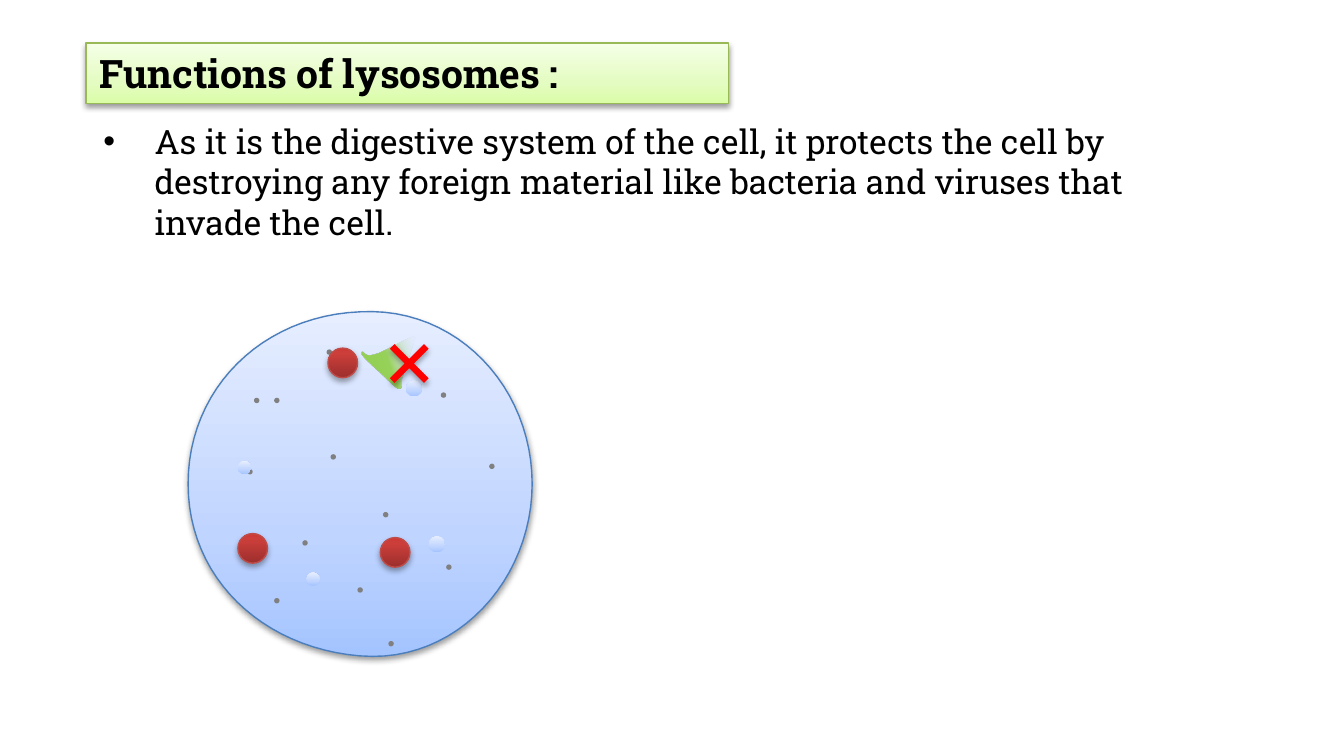
from dataclasses import dataclass
from typing import NamedTuple, Optional

from lxml import etree
from pptx import Presentation
from pptx import util as u
from pptx.dml.color import RGBColor
from pptx.enum import shapes, text
from pptx.oxml import ns

COLUMNS, ROWS = 100, 56.25
PITCH = u.Inches(0.1)
CURVE_STEPS = 24


class Stop(NamedTuple):
    position: int
    color: str
    opacity: int = 100


class Gradient(NamedTuple):
    stops: tuple[Stop, ...]
    angle: int = 270


class Shadow(NamedTuple):
    opacity: int
    blur: float
    distance: float


class Look(NamedTuple):
    fill: Gradient | str
    line: Optional[str] = None
    shadow: Optional[Shadow] = None


class Box(NamedTuple):
    column: float
    row: float
    columns: float
    rows: float


class Curve(NamedTuple):
    start: tuple[float, float]
    segments: tuple[tuple[float, ...], ...]


class Group(NamedTuple):
    look: Look
    diameter: float
    centers: tuple[tuple[float, float], ...]


@dataclass(frozen=True)
class Theme:
    font: str = "Roboto Slab"
    ink: RGBColor = RGBColor(0, 0, 0)
    title_size: u.Pt = u.Pt(21)
    body_size: u.Pt = u.Pt(18)
    line_width: u.Pt = u.Pt(0.75)
    soft: Shadow = Shadow(38, 3.1, 1.6)
    strong: Shadow = Shadow(35, 3.1, 1.8)
    blue: Gradient = Gradient((Stop(0, "A4C4FF"), Stop(35, "BFD4FF"), Stop(100, "E6EEFF")))
    red: Gradient = Gradient((Stop(0, "9C2F2D"), Stop(80, "CB3E3A"), Stop(100, "CE3B37")))
    lime: Gradient = Gradient((Stop(0, "DAFDA7"), Stop(35, "E4FCC2"), Stop(100, "F5FFE7")))
    leaf: Gradient = Gradient((Stop(0, "92D050"), Stop(50, "97D25A"), Stop(100, "E1E8F5", 0)), 340)


THEME = Theme()
BANNER = Look(THEME.lime, "98B955", THEME.soft)
CELL = Look(THEME.blue, "4B7EBC", THEME.soft)
INVADER = Look(THEME.leaf)
CROSS = Look("FF0000", None, THEME.strong)
LYSOSOME = Look(THEME.red, "BF4C48", THEME.strong)
GRANULE = Look("808080")
VESICLE = Look(THEME.blue)

TITLE_BOX = Box(6.4, 3.2, 47.8, 4.5)
BODY_BOX = Box(6.7, 8.5, 85.8, 10.1)
CROSS_BOX = Box(28, 24.6, 4.9, 4.9)

CELL_CURVE = Curve((39.6, 36), (
    (39.6, 43, 34.1, 49.4, 26.8, 48.8), (19.5, 48.2, 14, 43, 14, 36),
    (14, 28.9, 19.5, 23.5, 26.8, 23.2), (34.1, 22.8, 39.6, 28.9, 39.6, 36)))
INVADER_CURVE = Curve((27, 26.2), (
    (27.1, 26.2, 27.2, 26.6, 27.8, 26.4), (28.5, 26.3, 30.6, 24.9, 30.9, 25.1),
    (29.9, 28.1), (29.8, 28.4, 30, 29, 29.6, 28.9),
    (29.3, 28.8, 28.5, 27.9, 28, 27.5), (27.6, 27.1, 27.2, 26.8, 27, 26.5),
    (26.8, 26.3, 26.9, 26.2, 27, 26.2)))

CELL_PARTS = (
    Group(GRANULE, 0.4, (
        (26.8, 43.9), (22.7, 40.4), (18.6, 35.1), (19.1, 29.8), (24.5, 26.2),
        (33, 29.4), (36.6, 34.7), (33.4, 42.2), (29.1, 47.9), (20.6, 44.7),
        (28.7, 38.3), (24.8, 34), (20.6, 29.8))),
    Group(VESICLE, 1, ((18.2, 34.8), (23.3, 43.1))),
    Group(VESICLE, 1.2, ((30.8, 28.9), (32.5, 40.5))),
    Group(LYSOSOME, 2.2, ((25.5, 27), (18.8, 40.8), (29.4, 41.1))),
)


def grid(cells: float) -> u.Emu:
    return u.Emu(round(cells * PITCH))


def apply_format(target, values: dict) -> None:
    for name, value in values.items():
        setattr(target, name, value)


def add_node(parent, tag: str, **attributes):
    values = {name: str(value) for name, value in attributes.items()}
    return etree.SubElement(parent, ns.qn(tag), values)


def add_color(parent, color: str, opacity: int) -> None:
    node = add_node(parent, "a:srgbClr", val=color)
    if opacity < 100:
        add_node(node, "a:alpha", val=opacity * 1000)


def apply_gradient(shape, gradient: Gradient) -> None:
    properties = shape._element.spPr
    fill = etree.Element(ns.qn("a:gradFill"), rotWithShape="1")
    stops = add_node(fill, "a:gsLst")
    for stop in gradient.stops:
        node = add_node(stops, "a:gs", pos=stop.position * 1000)
        add_color(node, stop.color, stop.opacity)
    add_node(fill, "a:lin", ang=gradient.angle * 60000, scaled=0)
    properties.replace(properties.find(ns.qn("a:solidFill")), fill)


def apply_look(shape, look: Look) -> None:
    shape.fill.solid()
    if isinstance(look.fill, Gradient):
        apply_gradient(shape, look.fill)
    else:
        shape.fill.fore_color.rgb = RGBColor.from_string(look.fill)
    if look.line:
        shape.line.color.rgb = RGBColor.from_string(look.line)
        shape.line.width = THEME.line_width
    else:
        shape.line.fill.background()
    shape.shadow.inherit = False
    if look.shadow:
        effects = shape._element.spPr.find(ns.qn("a:effectLst"))
        node = add_node(effects, "a:outerShdw", blurRad=u.Pt(look.shadow.blur),
                        dist=u.Pt(look.shadow.distance), dir=90 * 60000, rotWithShape=0)
        add_color(node, "000000", look.shadow.opacity)


def draw_shape(slide, kind, box: Box, look: Look):
    shape = slide.shapes.add_shape(kind, *map(grid, box))
    apply_look(shape, look)
    return shape


def trace(curve: Curve) -> list[tuple[int, int]]:
    points = [curve.start]
    for segment in curve.segments:
        if len(segment) == 2:
            points.append(segment)
            continue
        controls = (points[-1], segment[:2], segment[2:4], segment[4:])
        for step in range(1, CURVE_STEPS + 1):
            t = step / CURVE_STEPS
            weights = ((1 - t) ** 3, 3 * t * (1 - t) ** 2, 3 * t * t * (1 - t), t ** 3)
            points.append(tuple(sum(w * c[axis] for w, c in zip(weights, controls))
                                for axis in (0, 1)))
    return [(grid(x), grid(y)) for x, y in points]


def draw_curve(slide, curve: Curve, look: Look) -> None:
    start, *points = trace(curve)
    builder = slide.shapes.build_freeform(*start)
    builder.add_line_segments(points, close=True)
    apply_look(builder.convert_to_shape(), look)


def draw_group(slide, group: Group) -> None:
    size = group.diameter
    for x, y in group.centers:
        box = Box(x - size / 2, y - size / 2, size, size)
        draw_shape(slide, shapes.MSO_SHAPE.OVAL, box, group.look)


def write(placeholder, box: Box, words: str, size: u.Pt, bold: bool, anchor):
    apply_format(placeholder, dict(zip(("left", "top", "width", "height"), map(grid, box))))
    frame = placeholder.text_frame
    apply_format(frame, {"word_wrap": True, "auto_size": text.MSO_AUTO_SIZE.NONE,
                         "vertical_anchor": anchor})
    paragraph = frame.paragraphs[0]
    apply_format(paragraph, {"alignment": text.PP_ALIGN.LEFT, "space_before": u.Pt(0)})
    run = paragraph.add_run()
    run.text = words
    apply_format(run.font, {"name": THEME.font, "size": size, "bold": bold})
    run.font.color.rgb = THEME.ink
    return paragraph


def add_bullet(paragraph, indent: u.Emu) -> None:
    properties = paragraph._p.get_or_add_pPr()
    properties.set("marL", str(indent))
    properties.set("indent", str(-indent))
    add_node(properties, "a:buFont", typeface="Arial")
    add_node(properties, "a:buChar", char="•")


def main() -> None:
    presentation = Presentation()
    apply_format(presentation, {"slide_width": grid(COLUMNS), "slide_height": grid(ROWS)})
    slide = presentation.slides.add_slide(presentation.slide_layouts[1])
    title, body = slide.placeholders
    write(title, TITLE_BOX, "Functions of lysosomes :", THEME.title_size, True,
          text.MSO_ANCHOR.MIDDLE)
    apply_look(title, BANNER)
    paragraph = write(
        body, BODY_BOX,
        "As it is the digestive system of the cell, it protects the cell by destroying "
        "any foreign material like bacteria and viruses that invade the cell.",
        THEME.body_size, False, text.MSO_ANCHOR.TOP)
    add_bullet(paragraph, grid(3.8))
    draw_curve(slide, CELL_CURVE, CELL)
    for group in CELL_PARTS:
        draw_group(slide, group)
    draw_curve(slide, INVADER_CURVE, INVADER)
    cross = draw_shape(slide, shapes.MSO_SHAPE.MATH_MULTIPLY, CROSS_BOX, CROSS)
    cross.adjustments[0] = 0.1
    presentation.save("out.pptx")


if __name__ == "__main__":
    main()
